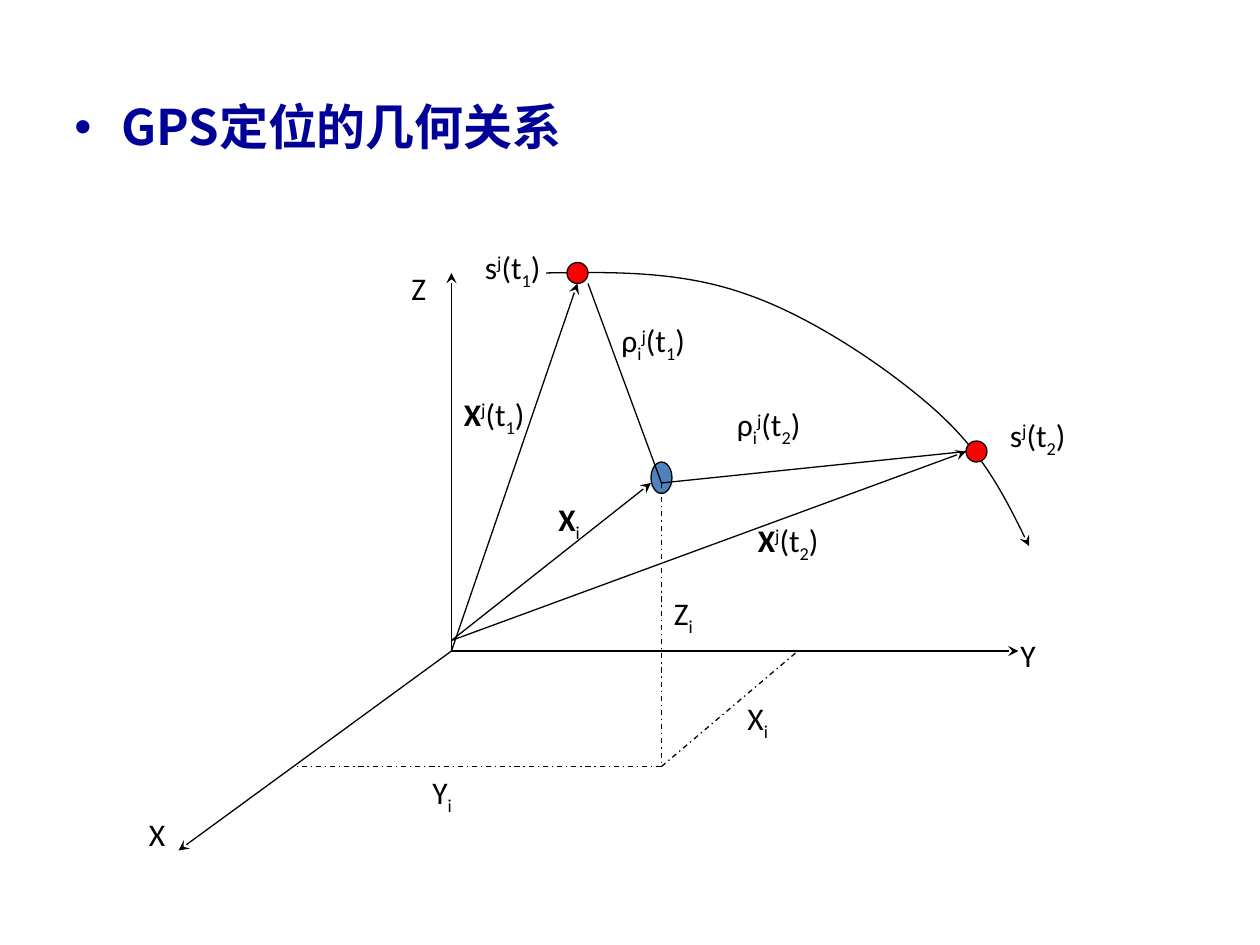
from dataclasses import dataclass

from lxml import etree
from pptx import Presentation
from pptx.dml.color import RGBColor
from pptx.enum.dml import MSO_LINE
from pptx.enum.shapes import MSO_CONNECTOR, MSO_SHAPE
from pptx.oxml.ns import qn
from pptx.util import Cm, Pt

STRAIGHT = MSO_CONNECTOR.STRAIGHT
OVAL = MSO_SHAPE.OVAL
DASH_DOT = MSO_LINE.DASH_DOT
U = Cm(2.54) // 12  # the drawing sits on a grid of 12 units to the inch


@dataclass(frozen=True)
class Theme:
    title: RGBColor = RGBColor(0x00, 0x00, 0x99)
    ink: RGBColor = RGBColor(0x00, 0x00, 0x00)
    station: RGBColor = RGBColor(0x4F, 0x81, 0xBD)
    satellite: RGBColor = RGBColor(0xFF, 0x00, 0x00)
    title_font: str = "Noto Sans CJK SC"
    label_font: str = "Calibri"
    title_size: Pt = Pt(28)
    label_size: Pt = Pt(18)
    stroke: Pt = Pt(0.75)


theme = Theme()


def style_line(sp, arrow=False, dash=None):
    sp.line.color.rgb = theme.ink
    sp.line.width = theme.stroke
    if dash:
        sp.line.dash_style = dash
    if arrow:
        ln = sp._element.spPr.find(qn("a:ln"))
        etree.SubElement(ln, qn("a:tailEnd"), type="stealth")
    etree.SubElement(sp._element.spPr, qn("a:effectLst"))


def add_lines(lines, arrow=False, dash=None):
    for start, end in lines:
        ends = [v * U for v in start + end]
        style_line(s.shapes.add_connector(STRAIGHT, *ends), arrow, dash)


prs = Presentation()
prs.slide_width, prs.slide_height = Cm(25.4), Cm(19.05)
s = prs.slides.add_slide(prs.slide_layouts[6])

# Title bullet
tf = s.shapes.add_textbox(Cm(1.25), Cm(1.95), Cm(22.86), Cm(1.6)).text_frame
tf.word_wrap = True
p = tf.paragraphs[0]
p.line_spacing = 0.9
p.font.size, p.font.bold = theme.title_size, True
p.font.name, p.font.color.rgb = theme.title_font, theme.title
r = p.add_run()
r.text = "GPS定位的几何关系"
etree.SubElement(r._r.get_or_add_rPr(), qn("a:ea"), typeface=theme.title_font)
pPr = p._p.get_or_add_pPr()
pPr.set("marL", str(Cm(0.95)))
pPr.set("indent", str(-Cm(0.95)))
bullet = etree.Element(qn("a:buChar"), char="•")
pPr.find(qn("a:defRPr")).addprevious(bullet)
bullet.addprevious(etree.Element(qn("a:buFont"), typeface="Arial"))

# Coordinate axes
origin, above_origin = (43, 62), (43, 61)
add_lines([(origin, end) for end in ((43, 26), (17, 81), (97, 62))], arrow=True)

# Orbit: the start, then three points for each cubic segment
orbit = [(52, 26), (58.4, 25.9), (64.8, 25.8), (71, 28), (77.2, 30.1),
         (84.5, 35), (89, 39), (93.5, 43), (95.8, 47.5), (98, 52)]
start, *rest = [(x * U, y * U) for x, y in orbit]
builder = s.shapes.build_freeform(*start)
builder.add_line_segments(rest, close=False)
sp = builder.convert_to_shape()
sp.fill.background()
style_line(sp, arrow=True)
segments = list(sp._element.iter(qn("a:lnTo")))
for i in range(0, len(segments), 3):
    curve = etree.Element(qn("a:cubicBezTo"))
    segments[i].addprevious(curve)
    for segment in segments[i:i + 3]:
        curve.append(segment[0])
        segment.getparent().remove(segment)

# Receiver station and the two satellite positions
for x, y, w, h, color in ((62, 44, 2, 3, theme.station),
                          (54, 25, 2, 2, theme.satellite),
                          (92, 42, 2, 2, theme.satellite)):
    sp = s.shapes.add_shape(OVAL, x * U, y * U, w * U, h * U)
    sp.fill.solid()
    sp.fill.fore_color.rgb = color
    style_line(sp)

# Position vectors, ranges and the station's coordinates
station, foot = (63, 46), (63, 73)
satellite_2 = (92, 43)
add_lines([(origin, (55, 27)), (above_origin, (62, 46)),
           (above_origin, satellite_2)], arrow=True)
add_lines([(station, (56, 27)), (station, satellite_2)])
add_lines([(station, foot), (foot, (76, 62)), (foot, (28, 73))], dash=DASH_DOT)

# Labels: parts split by "|"; ^ raises, _ lowers, * makes bold
MARKS = {"^": ("baseline", "30000"), "_": ("baseline", "-25000"), "*": ("b", "1")}
labels = [
    (45, 23, 11, "s|^j|(t|_1|)"), (95, 39, 11, "s|^j|(t|_2|)"),
    (13, 77, 8, "X"), (96, 60, 8, "Y"), (38, 25, 8, "Z"),
    (40, 73, 8, "Y|_i"), (70, 66, 8, "X|_i"), (63, 56, 8, "Z|_i"),
    (43, 37, 12, "*X|^j|(t|_1|)"), (71, 49, 12, "*X|^j|(t|_2|)"),
    (52, 47, 7, "*X|_i"),
    (58, 30, 12, "ρ|_i|^j|(t|_1|)"), (69, 38, 12, "ρ|_i|^j|(t|_2|)"),
]
for x, y, w, label in labels:
    tf = s.shapes.add_textbox(x * U, y * U, w * U, 6 * U).text_frame
    tf.word_wrap = True
    p = tf.paragraphs[0]
    p.font.size, p.font.name = theme.label_size, theme.label_font
    p.font.color.rgb = theme.ink
    for part in label.split("|"):
        r = p.add_run()
        r.text = part.lstrip("^_*")
        if part[0] in MARKS:
            r._r.get_or_add_rPr().set(*MARKS[part[0]])

prs.save("out.pptx")
